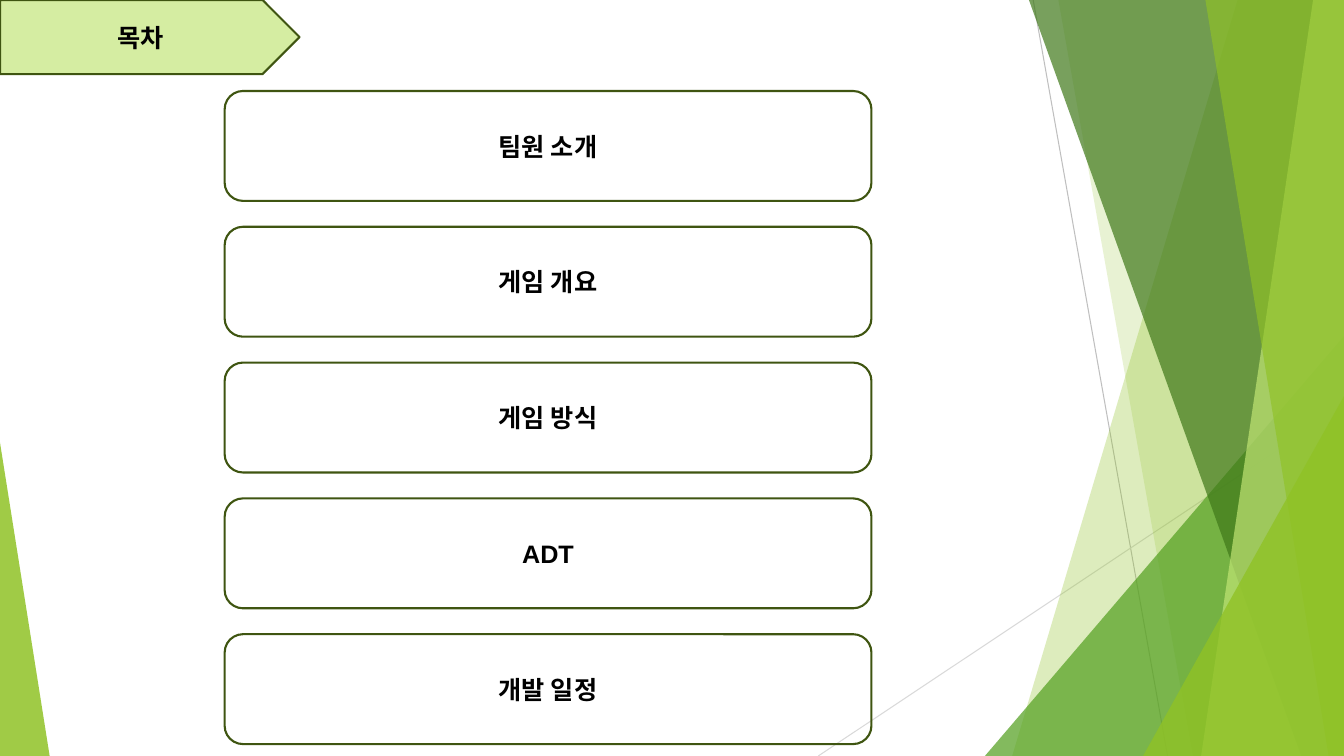
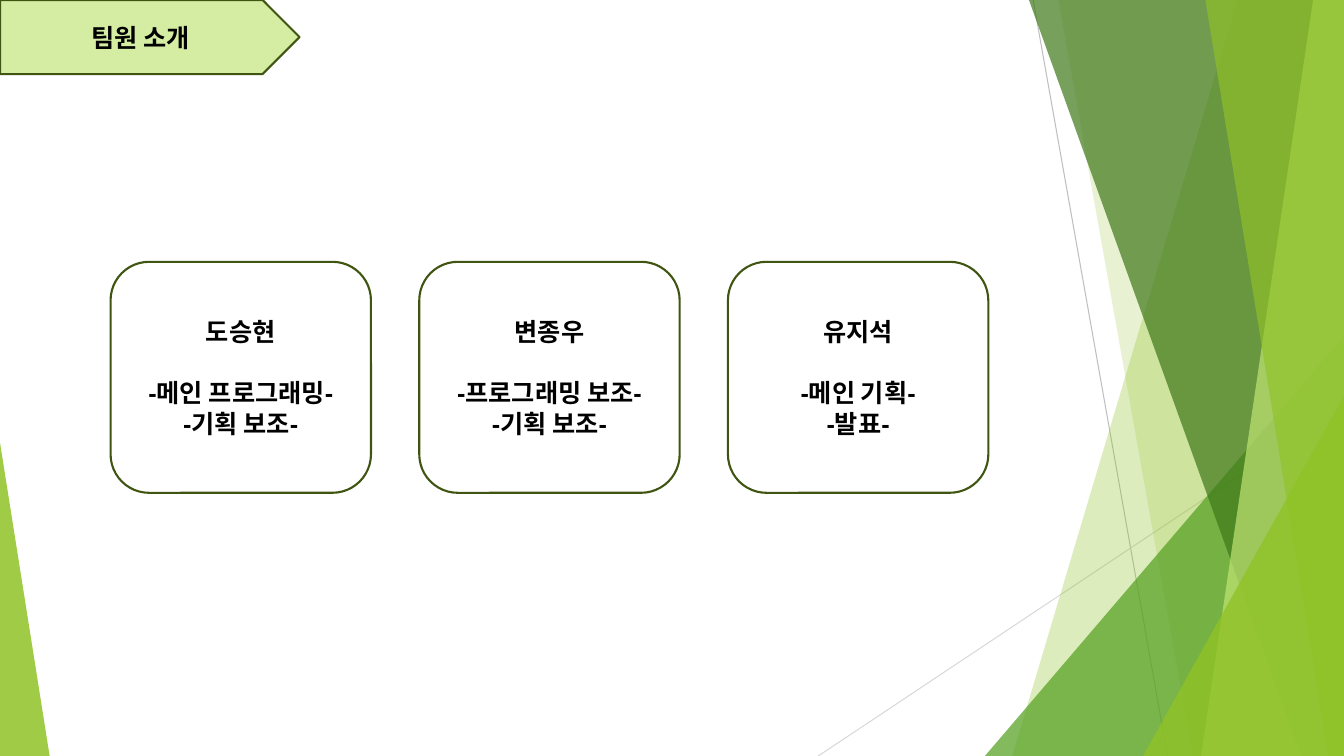
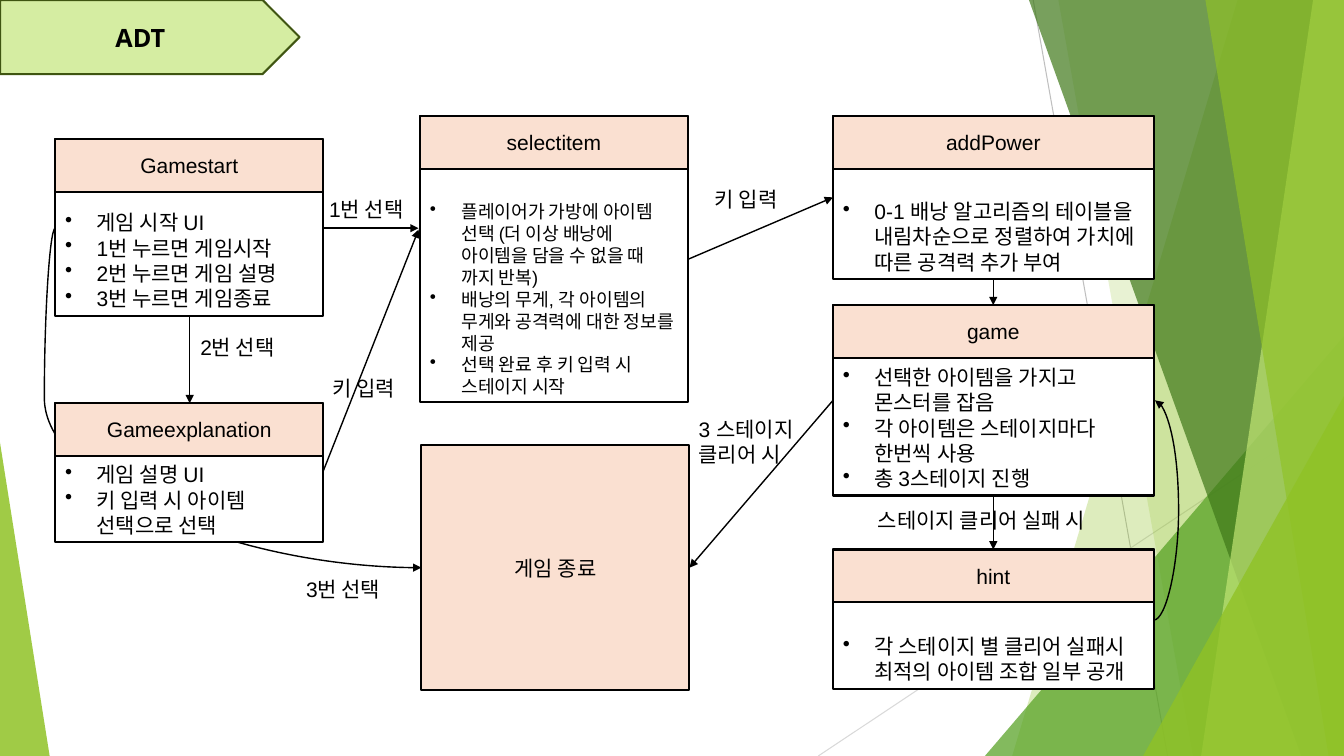
from dataclasses import dataclass, replace

from lxml.etree import SubElement
from pptx import Presentation
from pptx.dml.color import RGBColor
from pptx.enum.shapes import MSO_CONNECTOR, MSO_SHAPE
from pptx.enum.text import MSO_ANCHOR, PP_ALIGN
from pptx.oxml.ns import qn
from pptx.util import Pt

# Shared look
PAGE_WIDTH, PAGE_HEIGHT = 960, 540
BLACK, WHITE = "000000", "FFFFFF"
LIME, LEAF, FOREST, PALE = "90C226", "54A021", "3F7819", "C0E474"
BAND, OLIVE, PEACH = "D5EDA2", "3F5511", "FAE0D1"
HEADER_HEIGHT = 37.5
BULLET_INDENT = 22.5


@dataclass(frozen=True)
class TextStyle:
    font: str = "Arial"
    size: float = 15
    bold: bool = False
    align: PP_ALIGN = PP_ALIGN.LEFT
    anchor: MSO_ANCHOR = MSO_ANCHOR.MIDDLE
    bullets: bool = False


TITLE = TextStyle("Open Sans", 18, True, PP_ALIGN.CENTER)
CARD = TextStyle("Arial", 18, True, PP_ALIGN.CENTER)
HEADER = TextStyle(align=PP_ALIGN.CENTER)
DETAILS = TextStyle(anchor=MSO_ANCHOR.BOTTOM, bullets=True)
DENSE_DETAILS = replace(DETAILS, size=13)
LABEL = TextStyle(anchor=MSO_ANCHOR.TOP)


@dataclass(frozen=True)
class Frame:
    left: float
    top: float
    width: float
    height: float

    def lengths(self) -> tuple:
        return Pt(self.left), Pt(self.top), Pt(self.width), Pt(self.height)


@dataclass(frozen=True)
class Ray:
    """A slanted band down the right edge, given by its left side."""
    top_left: float
    bottom_left: float
    color: str
    opacity: int


@dataclass(frozen=True)
class Corner:
    """A right-angled triangle; apex is 0 for left and 1 for right."""
    frame: Frame
    apex: int
    color: str
    opacity: int


@dataclass(frozen=True)
class Node:
    frame: Frame
    name: str
    details: tuple
    style: TextStyle = DETAILS


@dataclass(frozen=True)
class Link:
    start: tuple
    end: tuple
    bend: float | None = None
    color: str = BLACK
    weight: float = 1
    arrow: bool = True


@dataclass(frozen=True)
class Label:
    text: str
    left: float
    top: float
    width: float = 81.5
    height: float = 25


# Drawing functions
def rgb(color: str) -> RGBColor:
    return RGBColor.from_string(color)


def paint(shape, fill: str | None, line: str | None = None,
          weight: float = 1.5, opacity: int = 100) -> None:
    shape.shadow.inherit = False
    if fill:
        shape.fill.solid()
        shape.fill.fore_color.rgb = rgb(fill)
        if opacity < 100:
            tint = shape.element.spPr.find(qn("a:solidFill"))[0]
            SubElement(tint, qn("a:alpha"), val=str(opacity * 1000))
    else:
        shape.fill.background()
    if line:
        shape.line.color.rgb = rgb(line)
        shape.line.width = Pt(weight)
    else:
        shape.line.fill.background()


def write(shape, lines: tuple, style: TextStyle) -> None:
    text = shape.text_frame
    text.word_wrap = True
    text.vertical_anchor = style.anchor
    text.text = "\n".join(lines)
    for para in text.paragraphs:
        para.alignment = style.align
        para.font.name = style.font
        para.font.size = Pt(style.size)
        para.font.bold = style.bold
        para.font.color.rgb = rgb(BLACK)
        if style.bullets:
            properties = para._p.get_or_add_pPr()
            properties.set("marL", str(Pt(BULLET_INDENT)))
            properties.set("indent", str(-Pt(BULLET_INDENT)))
            bullet = properties.makeelement(qn("a:buChar"), {"char": "•"})
            properties.insert(0, bullet)


def add_box(page, kind: MSO_SHAPE, frame: Frame, fill: str | None,
            line: str | None, lines: tuple = (),
            style: TextStyle = CARD):
    box = page.shapes.add_shape(kind, *frame.lengths())
    paint(box, fill, line)
    if lines:
        write(box, lines, style)
    return box


def add_link(page, link: Link) -> None:
    kind = MSO_CONNECTOR.STRAIGHT if link.bend is None else MSO_CONNECTOR.CURVE
    ends = [Pt(value) for value in (*link.start, *link.end)]
    connector = page.shapes.add_connector(kind, *ends)
    connector.line.color.rgb = rgb(link.color)
    connector.line.width = Pt(link.weight)
    properties = connector.element.spPr
    if link.arrow:
        SubElement(properties.find(qn("a:ln")), qn("a:tailEnd"), type="triangle")
    if link.bend is not None:
        guides = properties.find(qn("a:prstGeom")).find(qn("a:avLst"))
        SubElement(guides, qn("a:gd"), name="adj1",
                   fmla=f"val {round(link.bend * 100000)}")
    SubElement(properties, qn("a:effectLst"))


def add_ray(page, ray: Ray) -> None:
    builder = page.shapes.build_freeform(Pt(ray.top_left), 0)
    builder.add_line_segments([
        (Pt(PAGE_WIDTH), 0),
        (Pt(PAGE_WIDTH), Pt(PAGE_HEIGHT)),
        (Pt(ray.bottom_left), Pt(PAGE_HEIGHT)),
    ])
    paint(builder.convert_to_shape(), ray.color, opacity=ray.opacity)


def add_corner(page, corner: Corner) -> None:
    triangle = page.shapes.add_shape(
        MSO_SHAPE.ISOSCELES_TRIANGLE, *corner.frame.lengths())
    triangle.adjustments[0] = corner.apex
    paint(triangle, corner.color, opacity=corner.opacity)


def add_node(page, node: Node) -> None:
    frame = node.frame
    add_box(page, MSO_SHAPE.RECTANGLE, frame, WHITE, BLACK,
            node.details, node.style)
    header = replace(frame, height=HEADER_HEIGHT)
    add_box(page, MSO_SHAPE.RECTANGLE, header, PEACH, BLACK,
            (node.name,), HEADER)


def add_label(page, label: Label) -> None:
    frame = Frame(label.left, label.top, label.width, label.height)
    box = page.shapes.add_textbox(*frame.lengths())
    write(box, (label.text,), LABEL)


# Backdrop and title band, kept on the layout
THIN_LINES = (
    Link((738, 0), (834, 540), None, "BFBFBF", 0.75, False),
    Link((960, 290), (584.5, 540), None, "D9D9D9", 0.75, False),
)
BACKDROP = (
    Ray(884, 723, LIME, 30),
    Ray(756, 852, LIME, 20),
    Corner(Frame(703.5, 240, 256.5, 300), 1, LEAF, 72),
    Ray(735, 929.5, FOREST, 70),
    Ray(938, 858, PALE, 70),
    Ray(861, 949, LIME, 65),
    Corner(Frame(816.5, 283, 143.5, 257), 1, LIME, 80),
    Corner(Frame(0, 316, 35.5, 224), 0, LIME, 85),
)


def prepare_layout(layout, page) -> None:
    """Draw the shared parts on a page, then move them to its layout."""
    for line in THIN_LINES:
        add_link(page, line)
    for part in BACKDROP:
        if isinstance(part, Ray):
            add_ray(page, part)
        else:
            add_corner(page, part)
    add_box(page, MSO_SHAPE.PENTAGON, Frame(0, 0, 214, 53), BAND, OLIVE)
    for shape in list(page.shapes):
        if not shape.is_placeholder:
            layout.shapes.element.append(shape.element)


def add_page(deck, layout, title: str):
    page = deck.slides.add_slide(layout)
    write(page.shapes.title, (title,), TITLE)
    return page


deck = Presentation()
deck.slide_width, deck.slide_height = Pt(PAGE_WIDTH), Pt(PAGE_HEIGHT)
title_only = deck.slide_layouts[5]
for holder in list(title_only.placeholders):
    if holder.placeholder_format.idx == 0:
        holder.left, holder.top, holder.width, holder.height = Frame(
            0, 0, 200.5, 53).lengths()
    else:
        title_only.shapes.element.remove(holder.element)

# Contents
contents = add_page(deck, title_only, "목차")
prepare_layout(title_only, contents)
CHAPTERS = ("팀원 소개", "게임 개요", "게임 방식", "ADT", "개발 일정")
for row, chapter in enumerate(CHAPTERS):
    add_box(contents, MSO_SHAPE.ROUNDED_RECTANGLE,
            Frame(160.5, 65 + 97 * row, 462, 78.5), None, OLIVE, (chapter,))

# Team
team = add_page(deck, title_only, "팀원 소개")
MEMBERS = (
    ("도승현", "-메인 프로그래밍-", "-기획 보조-"),
    ("변종우", "-프로그래밍 보조-", "-기획 보조-"),
    ("유지석", "-메인 기획-", "-발표-"),
)
for column, member in enumerate(MEMBERS):
    card = add_box(team, MSO_SHAPE.ROUNDED_RECTANGLE,
                   Frame(79 + 220.5 * column, 187, 186, 165),
                   None, OLIVE, member)
    card.text_frame.paragraphs[0].space_after = Pt(22)

# Game flow
NODES = (
    Node(Frame(39.5, 99.5, 191.5, 126), "Gamestart",
         ("게임 시작 UI", "1번 누르면 게임시작",
          "2번 누르면 게임 설명", "3번 누르면 게임종료")),
    Node(Frame(300, 83, 191.5, 204.5), "selectitem",
         ("플레이어가 가방에 아이템 선택 (더 이상 배낭에 아이템을 담을 수 "
          "없을 때 까지 반복)",
          "배낭의 무게, 각 아이템의 무게와 공격력에 대한 정보를 제공",
          "선택 완료 후 키 입력 시 스테이지 시작"),
         DENSE_DETAILS),
    Node(Frame(39.5, 288, 191.5, 99.5), "Gameexplanation",
         ("게임 설명 UI", "키 입력 시 아이템 선택으로 선택")),
    Node(Frame(595, 83, 229, 116.5), "addPower",
         ("0-1 배낭 알고리즘의 테이블을 내림차순으로 정렬하여 가치에 "
          "따른 공격력 추가 부여",)),
    Node(Frame(595, 218, 229, 136), "game",
         ("선택한 아이템을 가지고 몬스터를 잡음",
          "각 아이템은 스테이지마다 한번씩 사용", "총 3스테이지 진행")),
    Node(Frame(595, 392.5, 229, 99.5), "hint",
         ("각 스테이지 별 클리어 실패시 최적의 아이템 조합 일부 공개",)),
)
QUIT_LINK = Link((39.5, 163), (301, 405.5), -0.03)
LINKS = (
    Link((230.5, 163), (299, 163)),
    Link((135.5, 225.5), (135.5, 288)),
    Link((230.5, 337.5), (299, 164)),
    Link((492, 185), (595, 141)),
    Link((709.5, 199.5), (709.5, 218)),
    Link((709.5, 354), (709.5, 392.5)),
    Link((595, 286), (492.5, 405.5)),
    Link((824, 443), (825, 286), 18),
)
LABELS = (
    Label("1번 선택", 228, 137),
    Label("2번 선택", 136, 235.5),
    Label("키 입력", 230.5, 265),
    Label("키 입력", 503.5, 129.5),
    Label("스테이지 클리어 실패 시", 620, 359, 240.5),
    Label("3번 선택", 211.5, 408),
    Label("3 스테이지 클리어 시", 492, 294, 94.5, 44),
)
flow = add_page(deck, title_only, "ADT")
add_link(flow, QUIT_LINK)
for node in NODES:
    add_node(flow, node)
add_box(flow, MSO_SHAPE.RECTANGLE, Frame(301, 318, 191.5, 175), PEACH, BLACK,
        ("게임 종료",), HEADER)
for link in LINKS:
    add_link(flow, link)
for label in LABELS:
    add_label(flow, label)

deck.save("out.pptx")
